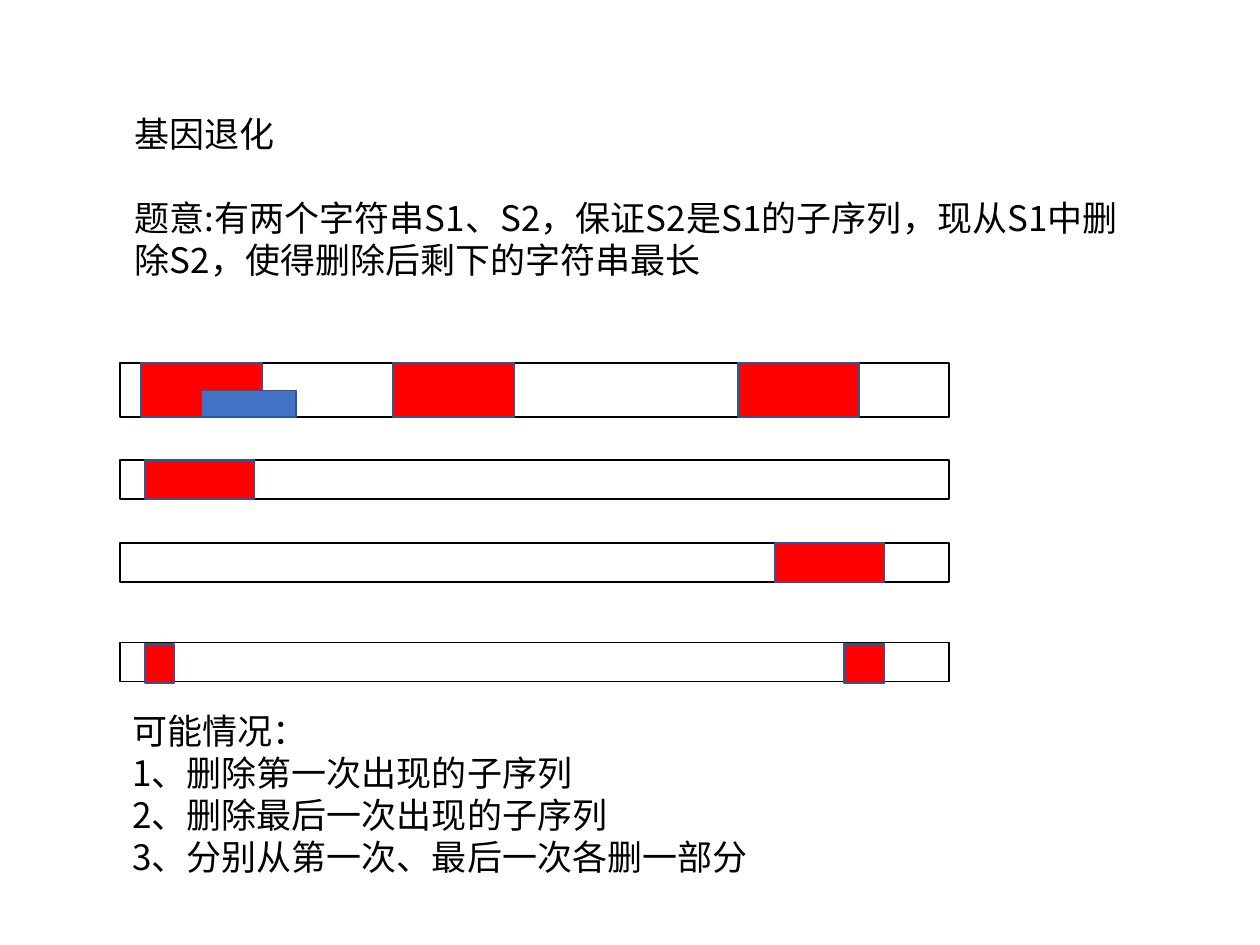
"""Builds a slide on removing subsequence S2 from string S1, with bar diagrams of the cases."""
from lxml import etree
from pptx import Presentation
from pptx.dml.color import RGBColor
from pptx.enum.shapes import MSO_SHAPE
from pptx.enum.text import MSO_AUTO_SIZE
from pptx.oxml.ns import qn
from pptx.util import Inches, Pt

RECTANGLE = MSO_SHAPE.RECTANGLE
FIT_TEXT = MSO_AUTO_SIZE.SHAPE_TO_FIT_TEXT
FONT = "Noto Sans CJK SC"
WHITE, BLACK, RED, BLUE, EDGE = "FFFFFF", "000000", "FF0000", "4472C4", "325491"
LINE_HEIGHT = Pt(24)

prs = Presentation()
prs.slide_width, prs.slide_height = Inches(10), Inches(7.5)
slide = prs.slides.add_slide(prs.slide_layouts[6])


def add_bar(left, top, width, height, fill, edge):
    bar = slide.shapes.add_shape(
        RECTANGLE, Inches(left), Inches(top), Inches(width), Inches(height))
    bar.shadow.inherit = False
    bar.fill.solid()
    bar.fill.fore_color.rgb = RGBColor.from_string(fill)
    bar.line.color.rgb = RGBColor.from_string(edge)
    bar.line.width = Pt(1)


def add_paragraphs(left, top, width, lines, gap=0):
    box = slide.shapes.add_textbox(Inches(left), Inches(top), Inches(width), Inches(1.45))
    frame = box.text_frame
    frame.word_wrap = True
    frame.auto_size = FIT_TEXT
    frame.text = "\n".join(lines)
    for index, paragraph in enumerate(frame.paragraphs):
        paragraph.line_spacing = LINE_HEIGHT
        paragraph.space_before = Pt(gap if index else 0)
        font = paragraph.runs[0].font
        font.size = Pt(20)
        font.color.rgb = RGBColor.from_string(BLACK)
        font.name = FONT
        east_asian = etree.SubElement(paragraph.runs[0].font._element, qn("a:ea"))
        east_asian.set("typeface", FONT)


add_paragraphs(0.97, 0.84, 8, [
    "基因退化",
    "题意:有两个字符串S1、S2，保证S2是S1的子序列，现从S1中删除S2，使得删除后剩下的字符串最长",
], gap=24)

strings = [
    (2.88, 0.43, [(1.12, 2.88, 0.96, 0.43, RED), (1.6, 3.1, 0.75, 0.21, BLUE),
                  (3.12, 2.88, 0.96, 0.43, RED), (5.86, 2.88, 0.96, 0.43, RED)]),
    (3.65, 0.31, [(1.15, 3.65, 0.87, 0.31, RED)]),
    (4.31, 0.31, [(6.15, 4.31, 0.87, 0.31, RED)]),
    (5.1, 0.31, [(1.15, 5.11, 0.23, 0.31, RED), (6.7, 5.11, 0.32, 0.31, RED)]),
]
for string_top, string_height, segments in strings:
    add_bar(0.95, string_top, 6.58, string_height, WHITE, BLACK)
    for segment in segments:
        add_bar(*segment, EDGE)

add_paragraphs(0.95, 5.58, 7.25, [
    "可能情况：",
    "1、删除第一次出现的子序列",
    "2、删除最后一次出现的子序列",
    "3、分别从第一次、最后一次各删一部分",
])

prs.save("out.pptx")
